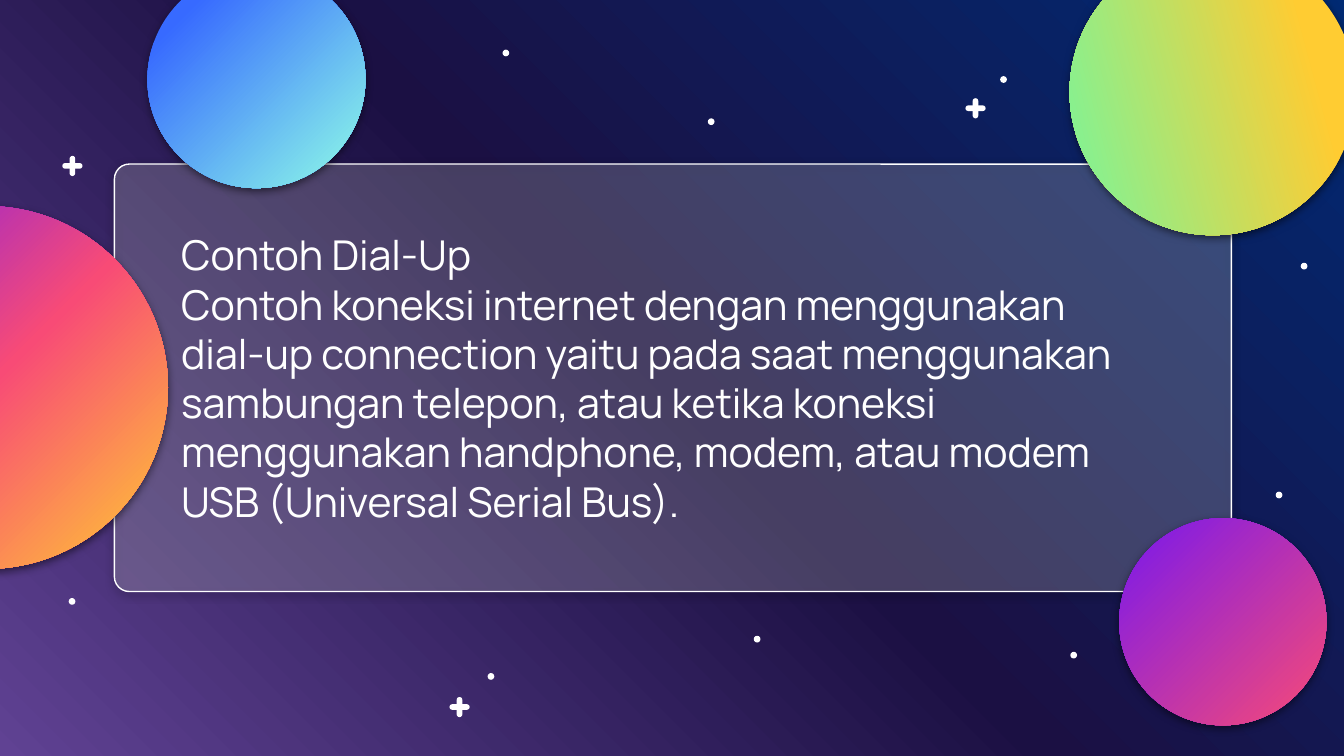
from pptx import Presentation
from pptx.util import Pt
from pptx.dml.color import RGBColor
from pptx.enum.shapes import MSO_SHAPE as Shape
from pptx.enum.text import MSO_ANCHOR as Anchor
from pptx.oxml import parse_xml
from pptx.oxml.ns import nsdecls

WHITE = "FFFFFF"
TEXT = [
    "Contoh Dial-Up",
    "Contoh koneksi internet dengan menggunakan dial-up connection yaitu "
    "pada saat menggunakan sambungan telepon, atau ketika koneksi "
    "menggunakan handphone, modem, atau modem USB (Universal Serial Bus).",
]
# Centres of the small stars
DOTS = [(38.6, 322.2), (575.2, 351), (685.2, 265.2), (537.6, 42.6),
        (271, 28.4), (381, 65.2), (405.6, 342.4), (263, 362.4), (698.6, 142.6)]
PLUSES = [(246.2, 378.8), (38.8, 88.9), (522.6, 58)]
# Left, top, diameter, rotation, gradient stops
BALLS = [
    (573, -27.4, 153.4, 120, [(0, "FFCC32"), (28, "FFCC32"), (100, "59FFB3")]),
    (599.6, 277.6, 111, 0, [(0, "7818ED"), (100, "F84B76")]),
    (-104.4, 110.4, 194.4, 0, [(0, "7818ED"), (50, "F84B76"), (100, "FFCC32")]),
    (79, -16, 116.8, 0, [(0, "376AFF"), (18, "376AFF"), (100, "90FFE7")]),
]


def color(code):
    return RGBColor.from_string(code)


def blend(fill, root, stops, angle):
    """Fill with a gradient; the angle runs clockwise."""
    fill.gradient()
    fill.gradient_angle = 360 - angle
    items = "".join(f'<a:gs pos="{pos * 1000}"><a:srgbClr val="{code}"/></a:gs>'
                    for pos, code in stops)
    old = root.xpath(".//a:gradFill/a:gsLst")[0]
    new = parse_xml(f'<a:gsLst {nsdecls("a")}>{items}</a:gsLst>')
    old.getparent().replace(old, new)


def add_form(slide, kind, left, top, width, height):
    form = slide.shapes.add_shape(kind, Pt(left), Pt(top), Pt(width), Pt(height))
    form.shadow.inherit = False
    form.fill.solid()
    form.fill.fore_color.rgb = color(WHITE)
    form.line.fill.background()
    return form


def add_shade(form):
    effects = form._element.spPr.find("{*}effectLst")
    effects.append(parse_xml(
        f'<a:outerShdw {nsdecls("a")} blurRad="{Pt(4.5)}" dist="{Pt(1.5)}" '
        'dir="5400000" algn="bl" rotWithShape="0"><a:srgbClr val="000000">'
        '<a:alpha val="50000"/></a:srgbClr></a:outerShdw>'))


def add_panel(slide):
    panel = add_form(slide, Shape.ROUNDED_RECTANGLE, 61.3, 87.9, 598.4, 229)
    panel.adjustments[0] = 0.035
    tint = panel._element.xpath("./p:spPr/a:solidFill/a:srgbClr")[0]
    tint.append(parse_xml(f'<a:alpha {nsdecls("a")} val="20000"/>'))
    panel.line.color.rgb = color(WHITE)
    panel.line.width = Pt(0.75)
    add_shade(panel)


def add_dot(slide, x, y, size=3.6):
    add_form(slide, Shape.OVAL, x - size / 2, y - size / 2, size, size)


def add_plus(slide, x, y, wide=3, long=10.8):
    for turn in (0, 90):
        bar = add_form(slide, Shape.ROUNDED_RECTANGLE,
                       x - wide / 2, y - long / 2, wide, long)
        bar.adjustments[0] = 0.5
        bar.rotation = turn


def add_ball(slide, left, top, size, turn, stops):
    ball = add_form(slide, Shape.OVAL, left, top, size, size)
    ball.rotation = turn
    blend(ball.fill, ball._element, stops, 45)
    add_shade(ball)


def add_text(slide):
    box = slide.shapes.add_textbox(Pt(90), Pt(144), Pt(527), Pt(116.6))
    frame = box.text_frame
    frame.word_wrap = True
    frame.vertical_anchor = Anchor.MIDDLE
    frame.margin_left = frame.margin_right = Pt(7.2)
    frame.margin_top = frame.margin_bottom = Pt(7.2)
    frame.text = "\n".join(TEXT)
    for para in frame.paragraphs:
        para.font.name = "Manrope"
        para.font.size = Pt(22)
        para.font.color.rgb = color(WHITE)


def main():
    deck = Presentation()
    deck.slide_width, deck.slide_height = Pt(720), Pt(405)
    slide = deck.slides.add_slide(deck.slide_layouts[6])

    # Night sky
    sky = [(0, "604293"), (50, "1B1043"), (100, "002A73")]
    blend(slide.background.fill, slide.element, sky, 315)

    # Glass panel and stars
    add_panel(slide)
    for x, y in DOTS:
        add_dot(slide, x, y)
    for x, y in PLUSES:
        add_plus(slide, x, y)

    # Text, then the planets over it
    add_text(slide)
    for ball in BALLS:
        add_ball(slide, *ball)

    deck.save("out.pptx")


if __name__ == "__main__":
    main()
